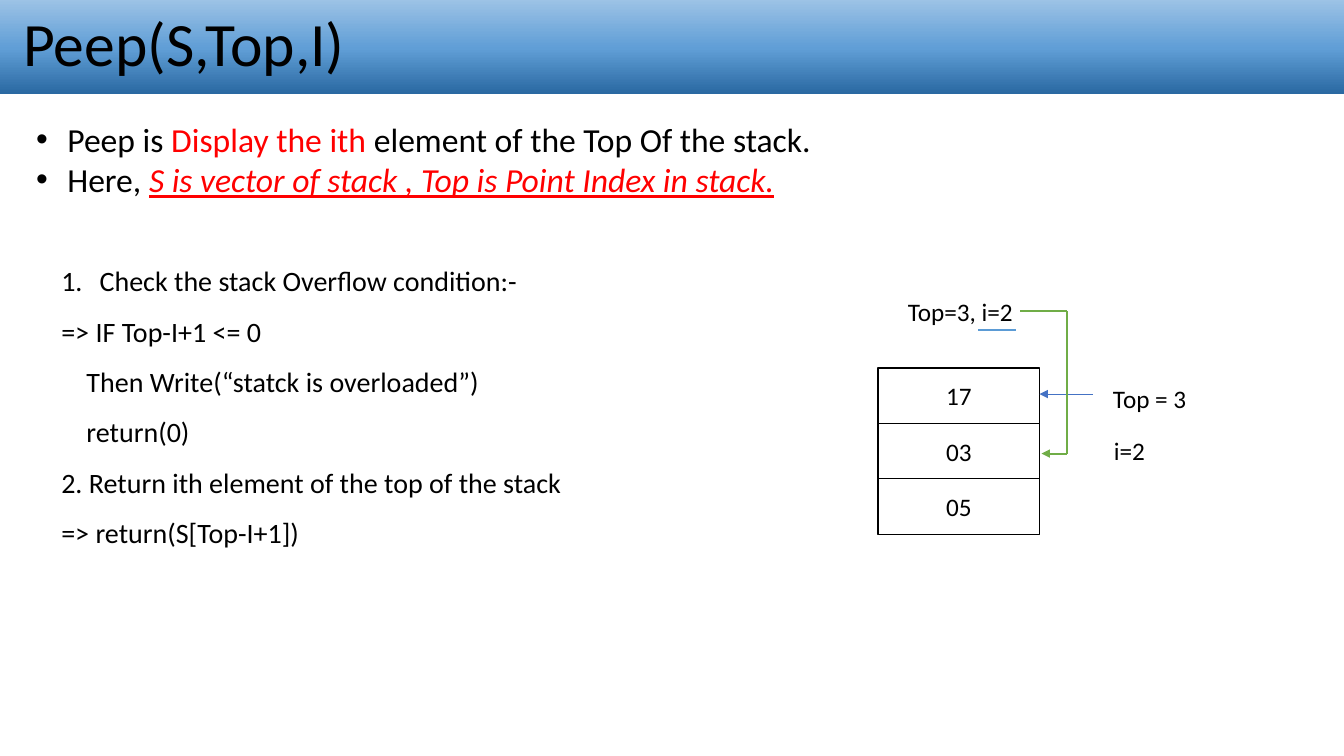
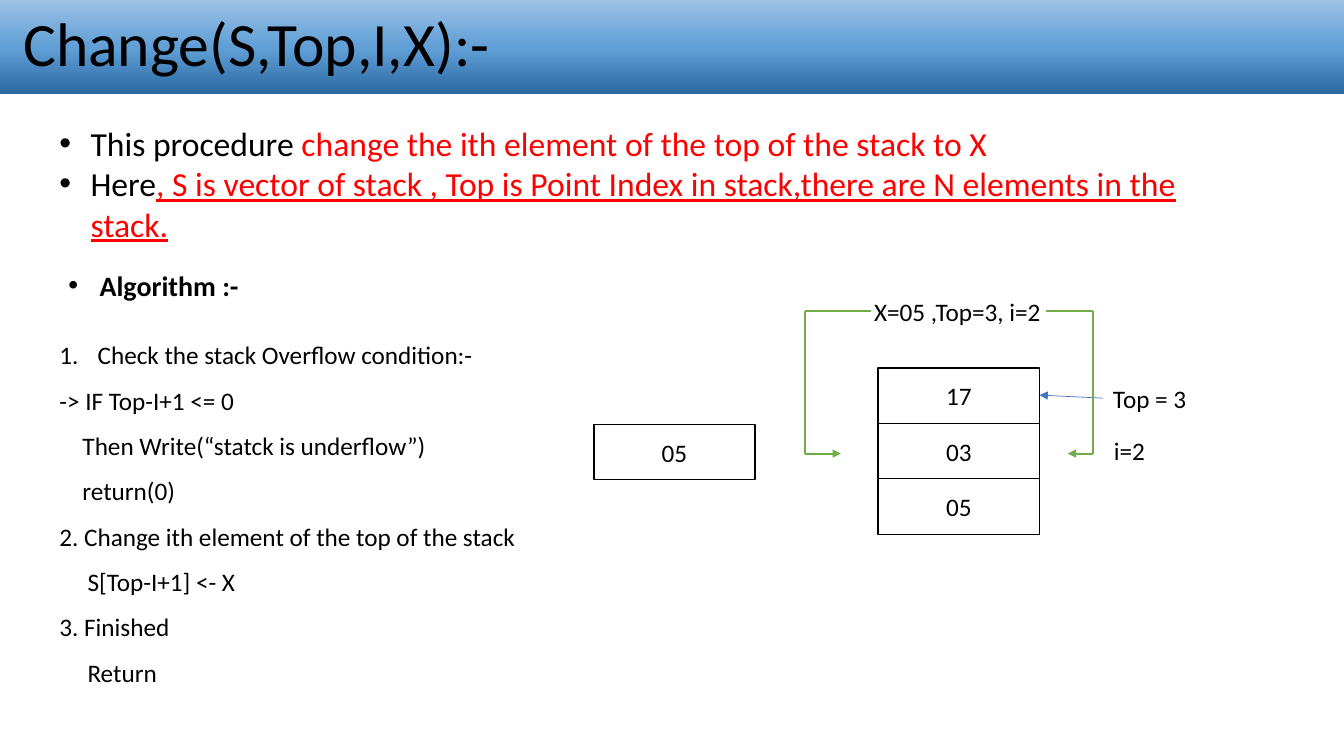
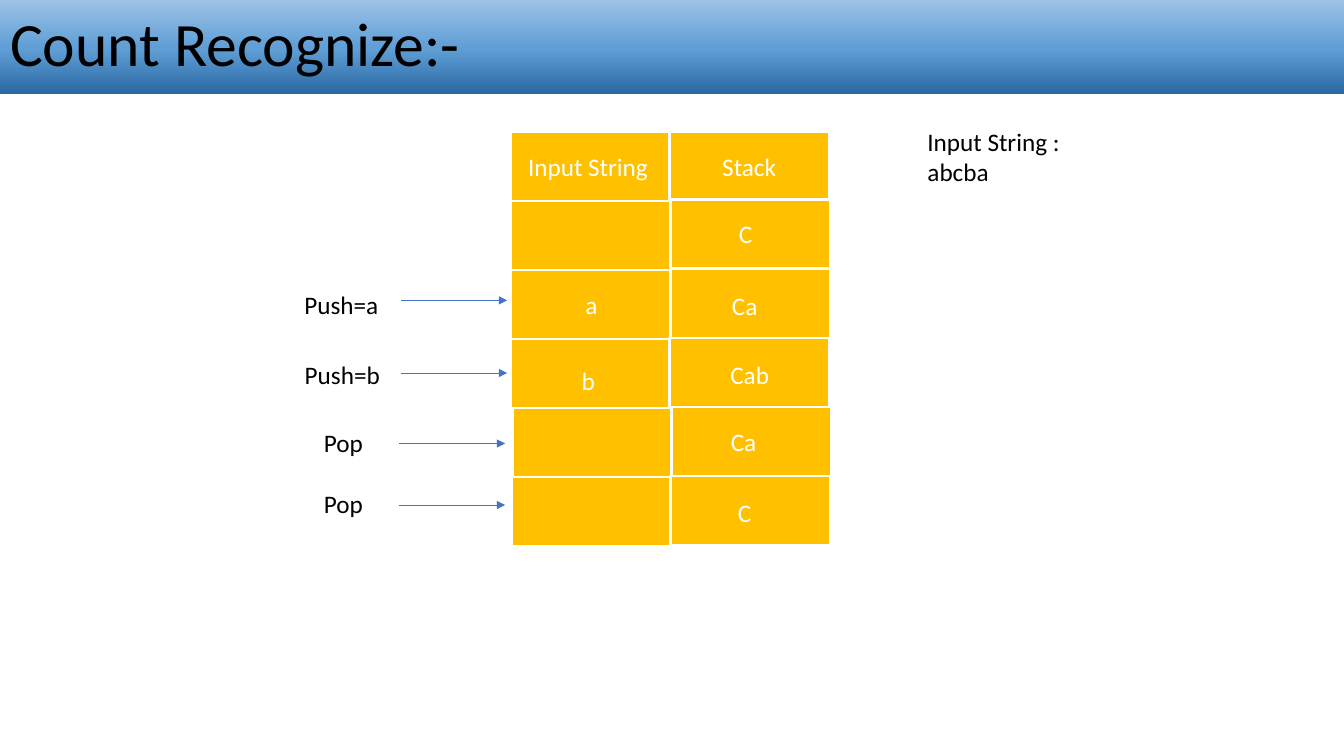
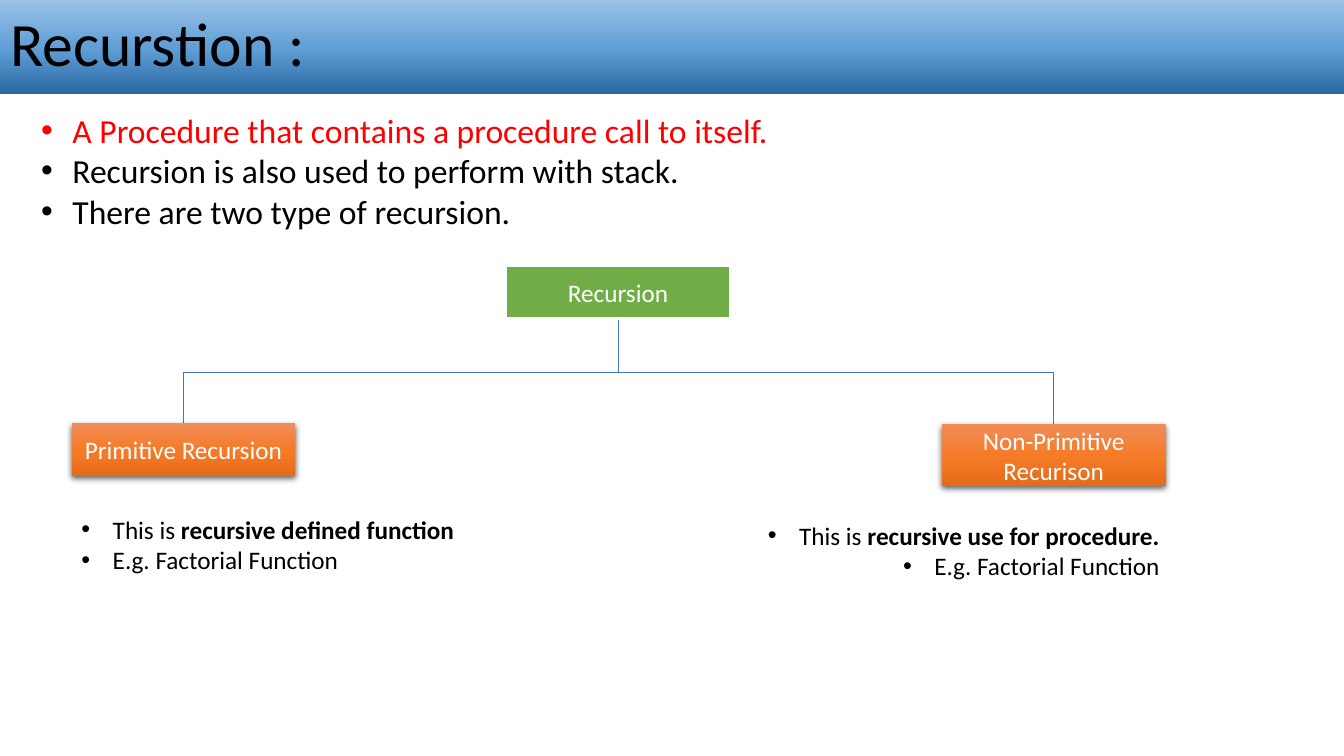
from copy import deepcopy
from dataclasses import dataclass, field
from typing import Any, NamedTuple

from lxml.etree import SubElement
from pptx import Presentation
from pptx.dml.color import RGBColor
from pptx.enum.shapes import MSO_CONNECTOR as Connector, MSO_SHAPE as Preset
from pptx.enum.text import MSO_ANCHOR as Anchor, MSO_AUTO_SIZE as AutoSize, PP_ALIGN as Align
from pptx.oxml.ns import qn
from pptx.shapes.autoshape import Shape
from pptx.slide import Slide
from pptx.util import Inches, Pt


class Gradient(NamedTuple):
    angle: int
    stops: tuple[tuple[float, str], ...]


@dataclass(frozen=True)
class Theme:
    font: str = "Calibri"
    title: int = 44
    lead: int = 24
    step: int = 20
    label: int = 18
    black: str = "000000"
    white: str = "FFFFFF"
    red: str = "FF0000"
    blue: str = "4472C4"
    sky: str = "5B9BD5"
    green: str = "70AD47"
    gold: str = "FFC000"
    band: Gradient = Gradient(90, ((0, "2A69A2"), (0.48, "609ED6"), (1, "9DC3E6")))
    orange: Gradient = Gradient(270, ((0, "F18C57"), (0.5, "F67B28"), (1, "E56C19")))


THEME = Theme()


class Box(NamedTuple):
    left: float
    top: float
    width: float
    height: float


class Point(NamedTuple):
    x: float
    y: float


@dataclass(frozen=True)
class Span:
    text: str
    color: str = THEME.black
    style: dict[str, Any] = field(default_factory=dict)


@dataclass(frozen=True)
class Line:
    spans: tuple[Span, ...]
    marker: str = ""
    indent: float = 0
    align: Align = Align.LEFT
    spacing: float = 1


class Column(NamedTuple):
    header: str
    first_top: float
    lefts: tuple[float, ...]


class Label(NamedTuple):
    text: str
    left: float
    top: float


class Push(NamedTuple):
    label: Label
    start: Point


STACK = Box(8.71, 3.65, 1.6, 0.55)
TRACE = Box(5.07, 1.31, 1.58, 0.685)
COLUMNS = (
    Column("Input String ", 1.99, (5.07, 5.07, 5.07, 5.07, 5.09, 5.08)),
    Column("Stack", 1.98, (6.64, 6.65, 6.65, 6.64, 6.66, 6.65)),
)
VALUES = (
    Label("C", 6.8, 2.12), Label("a", 5.27, 2.82), Label("Ca", 6.79, 2.83),
    Label("b", 5.24, 3.58), Label("Cab", 6.84, 3.52), Label("Ca", 6.78, 4.18),
    Label("C", 6.79, 4.88),
)
PUSHES = (
    Push(Label("Push=a", 2.79, 2.82), Point(3.98, 2.98)),
    Push(Label("Push=b", 2.8, 3.52), Point(3.98, 3.7)),
    Push(Label("Pop", 2.81, 4.19), Point(3.96, 4.4)),
    Push(Label("Pop", 2.81, 4.8), Point(3.96, 5.01)),
)


def plain(text: str, color: str = THEME.black, **options: Any) -> Line:
    return Line((Span(text, color),), **options)


def bullet(*spans: Span, align: Align = Align.LEFT) -> Line:
    return Line(spans, "•", 0.31, align)


def algorithm(*steps: tuple[str, float]) -> tuple[Line, ...]:
    first = plain("Check the stack Overflow condition:-", marker="1.", indent=0.38, spacing=1.5)
    return first, *(plain(text, indent=indent, spacing=1.5) for text, indent in steps)


def apply(target: Any, values: dict[str, Any]) -> None:
    for name, value in values.items():
        setattr(target, name, value)


def fill_paragraph(paragraph: Any, line: Line, size: int) -> None:
    apply(paragraph, {"alignment": line.align, "line_spacing": line.spacing})
    properties = paragraph._p.get_or_add_pPr()
    properties.set("marL", str(Inches(line.indent)))
    properties.set("indent", str(-Inches(line.indent) if line.marker else 0))
    if line.marker == "•":
        SubElement(properties, qn("a:buFont"), typeface="Arial")
        SubElement(properties, qn("a:buChar"), char=line.marker)
    elif line.marker:
        SubElement(properties, qn("a:buAutoNum"), type="arabicPeriod")
    for span in line.spans:
        run = paragraph.add_run()
        run.text = span.text
        apply(run.font, {"name": THEME.font, "size": Pt(size), **span.style})
        run.font.color.rgb = RGBColor.from_string(span.color)


def write(frame: Any, lines: tuple[Line, ...], size: int) -> None:
    for index, line in enumerate(lines):
        paragraph = frame.add_paragraph() if index else frame.paragraphs[0]
        fill_paragraph(paragraph, line, size)


def paint(shape: Shape, fill: str | Gradient) -> None:
    if isinstance(fill, str):
        shape.fill.solid()
        shape.fill.fore_color.rgb = RGBColor.from_string(fill)
        return
    shape.fill.gradient()
    shape.fill.gradient_angle = fill.angle
    stop_list = shape.element.spPr.find(f".//{qn('a:gsLst')}")
    stop_list.append(deepcopy(stop_list[0]))
    for stop, (position, color) in zip(shape.fill.gradient_stops, fill.stops):
        stop.position = position
        stop.color.rgb = RGBColor.from_string(color)


def add_titled_slide(presentation: Any, title: str, margin: float = 0.1) -> Slide:
    slide = presentation.slides.add_slide(presentation.slide_layouts[5])
    band = slide.shapes.title
    apply(band, {"left": 0, "top": Inches(-0.01), "width": presentation.slide_width, "height": Inches(0.94)})
    paint(band, THEME.band)
    apply(band.text_frame, {
        "vertical_anchor": Anchor.MIDDLE, "auto_size": AutoSize.NONE,
        "word_wrap": True, "margin_left": Inches(margin),
    })
    write(band.text_frame, (plain(title, spacing=0.9),), THEME.title)
    return slide


def add_text(slide: Slide, box: Box, *lines: Line, size: int = THEME.label) -> None:
    frame = slide.shapes.add_textbox(*map(Inches, box)).text_frame
    frame.word_wrap = True
    write(frame, lines, size)


def add_label(slide: Slide, label: Label, color: str = THEME.black) -> None:
    add_text(slide, Box(label.left, label.top, 1.19, 0.4),
             plain(label.text, color, align=Align.CENTER))


def add_box(slide: Slide, box: Box, text: str, fill: str | Gradient, color: str,
            outline: str = "", weight: float = 1) -> Shape:
    shape = slide.shapes.add_shape(Preset.RECTANGLE, *map(Inches, box))
    shape.shadow.inherit = False
    paint(shape, fill)
    if outline:
        shape.line.color.rgb = RGBColor.from_string(outline)
        shape.line.width = Pt(weight)
    else:
        shape.line.fill.background()
    apply(shape.text_frame, {"word_wrap": True, "vertical_anchor": Anchor.MIDDLE})
    if text:
        write(shape.text_frame, (plain(text, color, align=Align.CENTER),), THEME.label)
    return shape


def add_shadow(shape: Shape) -> None:
    effects = shape.element.spPr.find(qn("a:effectLst"))
    shadow = SubElement(effects, qn("a:outerShdw"), blurRad=str(Pt(4.5)), dist=str(Pt(1.5)),
                        dir="5400000", algn="ctr", rotWithShape="0")
    color = SubElement(shadow, qn("a:srgbClr"), val=THEME.black)
    SubElement(color, qn("a:alpha"), val="63000")


def add_line(slide: Slide, start: Point, end: Point, color: str = THEME.blue,
             weight: float = 0.5, arrow: bool = False) -> None:
    connector = slide.shapes.add_connector(Connector.STRAIGHT, *map(Inches, (*start, *end)))
    connector.line.color.rgb = RGBColor.from_string(color)
    connector.line.width = Pt(weight)
    properties = connector.element.spPr
    if arrow:
        SubElement(properties.find(qn("a:ln")), qn("a:tailEnd"), type="triangle")
    SubElement(properties, qn("a:effectLst"))


def add_route(slide: Slide, *points: Point) -> None:
    last = len(points) - 2
    for index, (start, end) in enumerate(zip(points, points[1:])):
        add_line(slide, start, end, THEME.green, 1.5, arrow=index == last)


def add_cell(slide: Slide, box: Box, value: str) -> None:
    add_box(slide, box, value, THEME.white, THEME.black, THEME.black)


def add_stack(slide: Slide, caption: str, caption_left: float, pointer: Point, tip: Point) -> None:
    for row, value in enumerate(("17", "03", "05")):
        add_cell(slide, STACK._replace(top=STACK.top + row * STACK.height), value)
    add_text(slide, Box(caption_left, 2.89, 5.15, 0.4), plain(caption, align=Align.CENTER))
    add_text(slide, Box(10.94, 3.75, 1.51, 0.4), plain("Top = 3"))
    add_text(slide, Box(10.95, 4.27, 0.74, 0.4), plain("i=2"))
    add_line(slide, pointer, tip, arrow=True)


def add_trace(slide: Slide) -> None:
    for column in COLUMNS:
        for row, left in enumerate(column.lefts):
            top = column.first_top + (row - 1) * TRACE.height if row else TRACE.top
            add_box(slide, TRACE._replace(left=left, top=top), "" if row else column.header,
                    THEME.gold, THEME.white, THEME.white, 1.5)
    for value in VALUES:
        add_label(slide, value, THEME.white)


def build_peep(presentation: Any) -> None:
    slide = add_titled_slide(presentation, "Peep(S,Top,I)", 0.23)
    add_text(
        slide, Box(0.26, 1.13, 12.48, 1.21),
        bullet(Span("Peep is "), Span("Display the ith", THEME.red),
               Span(" element of the Top Of the stack.")),
        bullet(Span("Here, "), Span("S is vector of stack , Top is Point Index in stack.",
                                    THEME.red, {"italic": True, "underline": True})),
        size=THEME.lead,
    )
    add_text(slide, Box(0.51, 2.4, 5.34, 3.08), *algorithm(
        ("=> IF Top-I+1 <= 0", 0),
        ("Then Write(“statck is overloaded”)", 0.25),
        ("return(0)", 0.25),
        ("2. Return ith element of the top of the stack", 0),
        ("=> return(S[Top-I+1])", 0),
    ), size=THEME.step)
    add_stack(slide, "Top=3, i=2", 6.95, Point(10.84, 3.91), Point(10.31, 3.91))
    add_line(slide, Point(9.7, 3.27), Point(10.08, 3.27), THEME.sky, 1.5)
    add_route(slide, Point(10.12, 3.09), Point(10.58, 3.09), Point(10.58, 4.5), Point(10.33, 4.5))


def build_change(presentation: Any) -> None:
    slide = add_titled_slide(presentation, "Change(S,Top,I,X):-", 0.23)
    add_text(
        slide, Box(0.49, 1.17, 11.9, 1.31),
        bullet(Span("This procedure "),
               Span("change the ith element of the top of the stack to X", THEME.red)),
        bullet(Span("Here"),
               Span(", S is vector of stack , Top is Point Index in stack,"
                    "there are N elements in the stack.", THEME.red, {"underline": True})),
        size=THEME.lead,
    )
    add_text(slide, Box(0.58, 2.61, 3.8, 0.44),
             bullet(Span("Algorithm :-", style={"bold": True})), size=THEME.step)
    add_text(slide, Box(0.49, 3.17, 5.34, 3.69), *algorithm(
        ("-> IF Top-I+1 <= 0", 0),
        ("Then Write(“statck is underflow”)", 0.23),
        ("return(0)", 0.23),
        ("2. Change ith element of the top of the stack", 0),
        ("S[Top-I+1] <- X", 0.28),
        ("3. Finished", 0),
        ("Return", 0.28),
    ))
    add_stack(slide, "X=05 ,Top=3, i=2", 6.92, Point(10.94, 3.95), Point(10.31, 3.92))
    add_cell(slide, STACK._replace(left=5.89, top=4.21), "05")
    add_route(slide, Point(10.37, 3.09), Point(10.84, 3.09), Point(10.84, 4.5), Point(10.59, 4.5))
    add_route(slide, Point(8.64, 3.09), Point(7.98, 3.09), Point(7.98, 4.5), Point(8.34, 4.5))


def build_count(presentation: Any) -> None:
    slide = add_titled_slide(presentation, "Count Recognize:-")
    add_trace(slide)
    for label, start in PUSHES:
        add_label(slide, label)
        add_line(slide, start, start._replace(x=start.x + 1.05), arrow=True)
    add_text(slide, Box(9.1, 1.2, 3.21, 0.71), plain("Input String :"), plain("abcba"))


def build_recursion(presentation: Any) -> None:
    slide = add_titled_slide(presentation, "Recurstion :")
    add_text(
        slide, Box(0.31, 1.04, 12.72, 1.31),
        bullet(Span("A Procedure that contains a procedure call to itself.", THEME.red)),
        bullet(Span("Recursion is also used to perform with stack.")),
        bullet(Span("There are two type of recursion.")),
        size=THEME.lead,
    )
    root, fork_y = Point(6.13, 3.16), 3.69
    add_line(slide, root, Point(root.x, fork_y))
    add_box(slide, Box(5.02, 2.64, 2.22, 0.52), "Recursion",
            THEME.green, THEME.white, THEME.white, 1.5)
    branches = (
        (Box(0.71, 4.2, 2.22, 0.52), "Primitive Recursion",
         Box(0.71, 5.05, 5.42, 0.71), " recursive defined function", Align.LEFT),
        (Box(9.34, 4.21, 2.22, 0.61), "Non-Primitive Recurison",
         Box(6.18, 5.11, 5.42, 0.71), " recursive use for procedure.", Align.RIGHT),
    )
    for box, name, note, meaning, align in branches:
        center = box.left + box.width / 2
        add_line(slide, Point(root.x, fork_y), Point(center, fork_y))
        add_line(slide, Point(center, fork_y), Point(center, box.top))
        add_shadow(add_box(slide, box, name, THEME.orange, THEME.white))
        add_text(
            slide, note,
            bullet(Span("This is"), Span(meaning, style={"bold": True}), align=align),
            bullet(Span("E.g. Factorial Function"), align=align),
        )


def main() -> None:
    presentation = Presentation()
    apply(presentation, {"slide_width": Inches(13.33), "slide_height": Inches(7.5)})
    for build in (build_peep, build_change, build_count, build_recursion):
        build(presentation)
    presentation.save("out.pptx")


if __name__ == "__main__":
    main()
